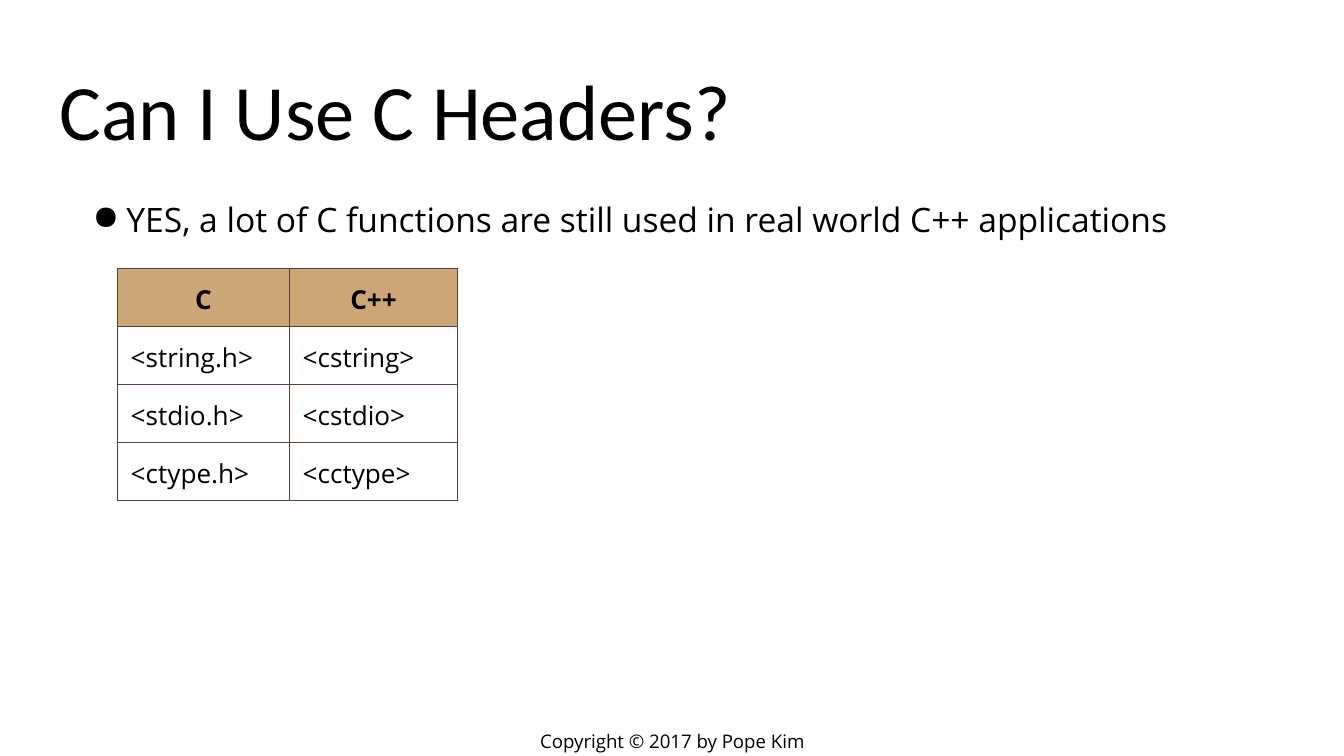
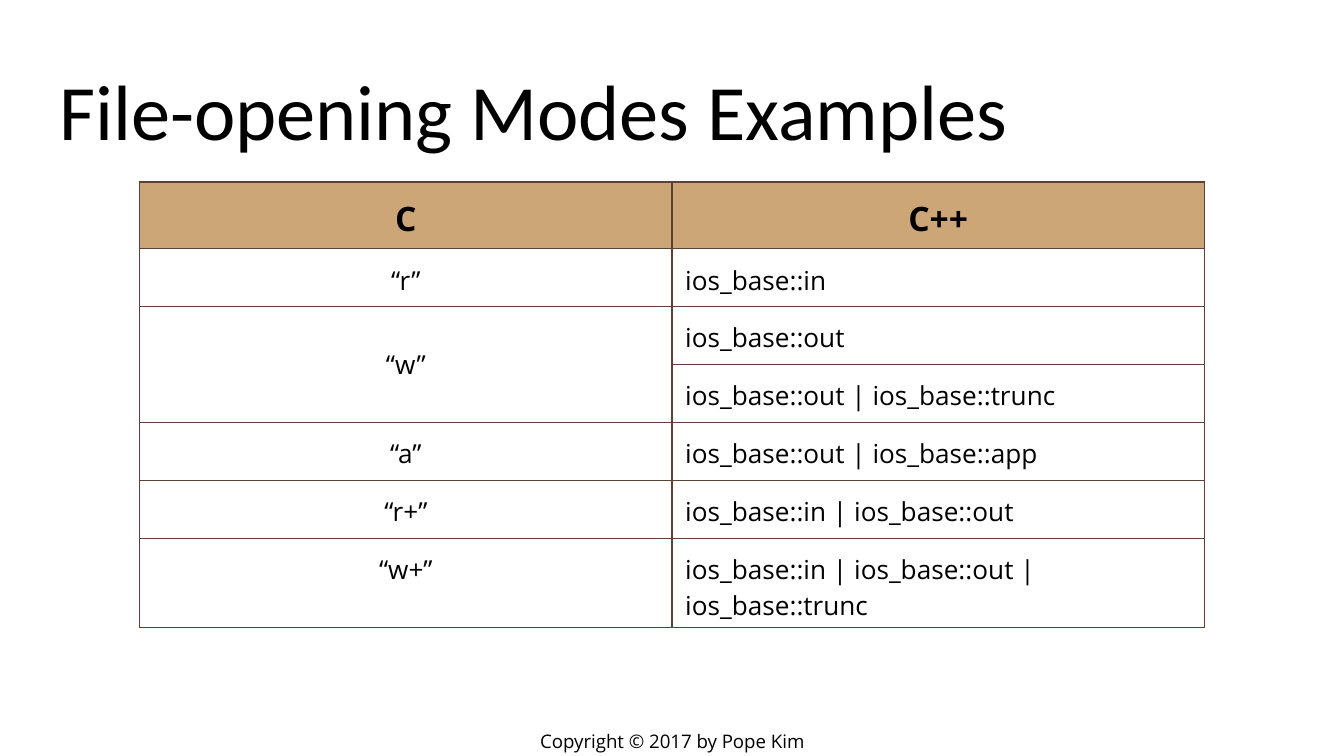
from dataclasses import dataclass

from lxml.etree import SubElement
from pptx import Presentation
from pptx.dml.color import RGBColor as RGB
from pptx.enum.text import MSO_ANCHOR as Anchor, PP_ALIGN as Align
from pptx.oxml.ns import qn
from pptx.util import Cm, Pt


@dataclass(frozen=True)
class Theme:
    ink: RGB = RGB(0x00, 0x00, 0x00)
    header: RGB = RGB(0xCC, 0xA6, 0x77)
    border: RGB = RGB(0x5D, 0x40, 0x37)
    title_font: str = "Calibri"
    body_font: str = "Open Sans"
    title_size: int = 42
    body_size: int = 18
    cell_size: int = 14
    footer_size: int = 10
    border_width: float = 0.75


THEME = Theme()
INSET = Cm(0.25)
ROW_HEIGHT = 1.07
FOOTER = "Copyright © 2017 by Pope Kim"

SLIDES = [
    dict(
        title="Can I Use C Headers?",
        bullet="YES, a lot of C functions are still used in real world C++ applications",
        table_at=(2.22, 5.08),
        columns=(3.25, 3.18),
        header_size=THEME.cell_size,
        c_align=Align.LEFT,
        rows=[
            ("C", "C++"),
            ("<string.h>", "<cstring>"),
            ("<stdio.h>", "<cstdio>"),
            ("<ctype.h>", "<cctype>"),
        ],
    ),
    dict(
        title="File-opening Modes Examples",
        bullet=None,
        table_at=(2.64, 3.44),
        columns=(10.06, 10.06),
        header_size=THEME.body_size,
        c_align=Align.CENTER,
        # None continues the cell above it
        rows=[
            ("C", "C++"),
            ("“r”", "ios_base::in"),
            ("“w”", "ios_base::out"),
            (None, "ios_base::out | ios_base::trunc"),
            ("“a”", "ios_base::out | ios_base::app"),
            ("“r+”", "ios_base::in | ios_base::out"),
            ("“w+”", "ios_base::in | ios_base::out | ios_base::trunc"),
        ],
    ),
]


def write(frame, text, size, align=Align.LEFT, font=THEME.body_font, bold=False):
    """Fill a text frame with one styled paragraph and return the paragraph."""
    frame.text = text
    paragraph = frame.paragraphs[0]
    paragraph.alignment = align
    for run in paragraph.runs:
        run.font.name = font
        run.font.size = Pt(size)
        run.font.bold = bold
        run.font.color.rgb = THEME.ink
    return paragraph


def add_frame(slide, left, top, width, height, anchor):
    """Add a wrapping text box, measured in centimetres, and return its frame."""
    frame = slide.shapes.add_textbox(Cm(left), Cm(top), Cm(width), Cm(height)).text_frame
    frame.word_wrap = True
    frame.vertical_anchor = anchor
    frame.margin_left = frame.margin_right = INSET
    frame.margin_top = frame.margin_bottom = INSET
    return frame


deck = Presentation()
deck.slide_width, deck.slide_height = Cm(25.4), Cm(14.29)
blank = deck.slide_layouts[6]

for content in SLIDES:
    slide = deck.slides.add_slide(blank)

    footer = add_frame(slide, 9.57, 13.74, 6.27, 0.54, Anchor.MIDDLE)
    write(footer, FOOTER, THEME.footer_size, Align.CENTER)

    title = add_frame(slide, 0.87, 0.9, 23.67, 2.3, Anchor.BOTTOM)
    write(title, content["title"], THEME.title_size, font=THEME.title_font)

    if content["bullet"]:
        body = add_frame(slide, 0.87, 3.4, 23.67, 9.32, Anchor.TOP)
        point = write(body, content["bullet"], THEME.body_size)
        point.line_spacing = 1.15
        point.space_after = Pt(16)
        props = point._p.get_or_add_pPr()
        props.set("marL", str(Cm(1.27)))
        props.set("indent", str(-Cm(0.64)))
        bullet_color = SubElement(props, qn("a:buClr"))
        SubElement(bullet_color, qn("a:srgbClr"), val=str(THEME.ink))
        SubElement(props, qn("a:buChar"), char="●")

    # Header table
    rows, columns = content["rows"], content["columns"]
    left, top = content["table_at"]
    table = slide.shapes.add_table(
        len(rows), len(columns), Cm(left), Cm(top),
        Cm(sum(columns)), Cm(ROW_HEIGHT * len(rows)),
    ).table
    table.first_row = table.horz_banding = False
    for column, width in zip(table.columns, columns):
        column.width = Cm(width)

    for r, row in enumerate(rows):
        table.rows[r].height = Cm(ROW_HEIGHT)
        for c, text in enumerate(row):
            cell = table.cell(r, c)
            cell.margin_left = cell.margin_right = INSET
            cell.margin_top = cell.margin_bottom = INSET

            for side in ("lnL", "lnR", "lnT", "lnB"):
                line = SubElement(cell._tc.get_or_add_tcPr(), qn(f"a:{side}"),
                                  w=str(Pt(THEME.border_width)))
                line_fill = SubElement(line, qn("a:solidFill"))
                SubElement(line_fill, qn("a:srgbClr"), val=str(THEME.border))

            if r == 0:
                cell.fill.solid()
                cell.fill.fore_color.rgb = THEME.header
                write(cell.text_frame, text, content["header_size"], Align.CENTER, bold=True)
                continue

            cell.fill.background()
            if text is None:
                above = table.cell(r - 1, c)
                above.merge(cell)
                above.vertical_anchor = Anchor.MIDDLE
            else:
                align = content["c_align"] if c == 0 else Align.LEFT
                write(cell.text_frame, text, THEME.cell_size, align)

deck.save("out.pptx")
